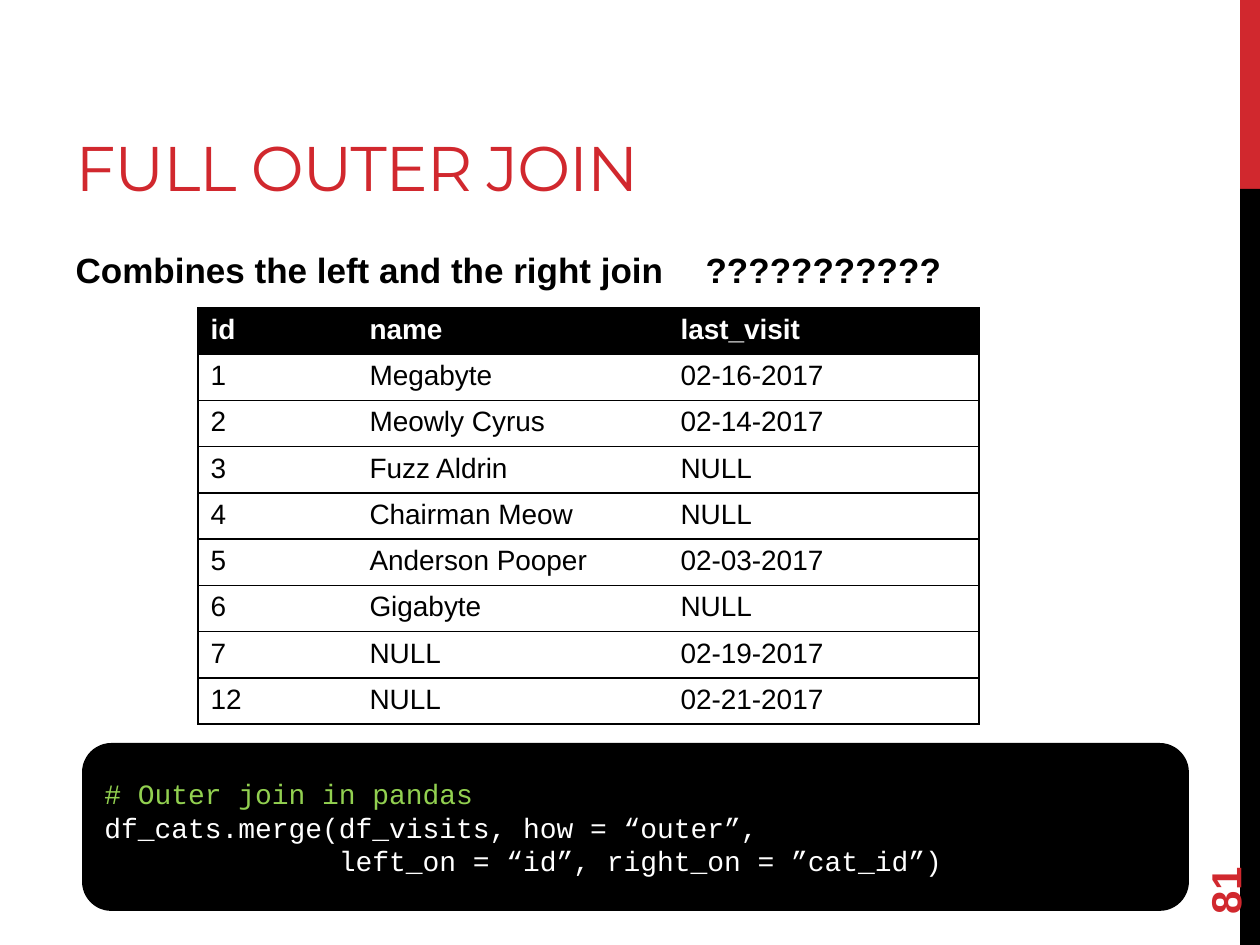
import pptx
import pptx.dml.color
import pptx.enum.shapes
import pptx.enum.text
import pptx.oxml
import pptx.oxml.ns
import pptx.util

SCALE = 914400 / 126
RED, BLACK, WHITE, GREEN = "D1282E", "000000", "FFFFFF", "92D050"
ANCHOR = pptx.enum.text.MSO_ANCHOR
LEFT = pptx.enum.text.PP_ALIGN.LEFT
NS = pptx.oxml.ns.nsdecls("a")

VISITS = [
    ("id", "name", "last_visit"),
    ("1", "Megabyte", "02-16-2017"),
    ("2", "Meowly Cyrus", "02-14-2017"),
    ("3", "Fuzz Aldrin", "NULL"),
    ("4", "Chairman Meow", "NULL"),
    ("5", "Anderson Pooper", "02-03-2017"),
    ("6", "Gigabyte", "NULL"),
    ("7", "NULL", "02-19-2017"),
    ("12", "NULL", "02-21-2017"),
]
CODE = [
    ("# Outer join in pandas", GREEN),
    ("df_cats.merge(df_visits, how = “outer”,", WHITE),
    ("              left_on = “id”, right_on = ”cat_id”)", WHITE),
]


def px(n):
    return pptx.util.Emu(round(n * SCALE))


def rgb(code):
    return pptx.dml.color.RGBColor.from_string(code)


def paint(item, code):
    item.fill.solid()
    item.fill.fore_color.rgb = rgb(code)


def write(par, text, size=16, color=BLACK, bold=False, face="Arial", track=0):
    """Add a run; track is letter spacing in hundredths of a point."""
    run = par.add_run()
    run.text = text
    font = run.font
    font.size = pptx.util.Pt(size)
    font.name = face
    font.bold = bold
    font.color.rgb = rgb(color)
    if track:
        run._r.get_or_add_rPr().set("spc", str(track))
    par.alignment = LEFT
    par.space_before = pptx.util.Pt(0)


def edge(cell, sides):
    """Rule the named sides (L, R, T, B) and clear the others."""
    props = cell._tc.get_or_add_tcPr()
    for spot, side in enumerate("LRTB"):
        fill = f'<a:solidFill><a:srgbClr val="{BLACK}"/></a:solidFill>'
        if side not in sides:
            fill = "<a:noFill/>"
        line = pptx.oxml.parse_xml(f'<a:ln{side} {NS} w="12700">{fill}</a:ln{side}>')
        props.insert(spot, line)


class Deck:
    """Holds the file, its style and the current slide."""

    head = dict(size=36, color=RED, face="Montserrat", track=-60)
    lead = dict(size=20, bold=True)
    mark = dict(size=24, color=RED, bold=True)

    def __init__(self):
        self.file = pptx.Presentation()
        self.file.slide_width = px(1260)
        self.file.slide_height = px(945)
        self.slide = self.file.slides.add_slide(self.file.slide_layouts[1])
        self.shapes = self.slide.shapes

    def holder(self, index, box, anchor):
        """Move a placeholder and return its first paragraph."""
        shape = self.slide.placeholders[index]
        shape.left, shape.top, shape.width, shape.height = map(px, box)
        frame = shape.text_frame
        frame.auto_size = pptx.enum.text.MSO_AUTO_SIZE.NONE
        frame.vertical_anchor = anchor
        return frame.paragraphs[0]

    def title(self, text, box):
        write(self.holder(0, box, ANCHOR.BOTTOM), text, **self.head)

    def body(self, text, box, stop):
        """Write an unbulleted line with one tab stop."""
        par = self.holder(1, box, ANCHOR.TOP)
        props = par._p.get_or_add_pPr()
        props.set("marL", "0")
        props.set("indent", "0")
        props.append(pptx.oxml.parse_xml(f"<a:buNone {NS}/>"))
        props.append(pptx.oxml.parse_xml(
            f'<a:tabLst {NS}><a:tab pos="{px(stop)}" algn="l"/></a:tabLst>'))
        write(par, text, **self.lead)

    def block(self, box, color, kind="RECTANGLE"):
        form = getattr(pptx.enum.shapes.MSO_SHAPE, kind)
        shape = self.shapes.add_shape(form, *map(px, box))
        shape.shadow.inherit = False
        paint(shape, color)
        shape.line.fill.background()
        return shape

    def number(self, text, box):
        shape = self.shapes.add_textbox(*map(px, box))
        shape.rotation = 270
        frame = shape.text_frame
        frame.word_wrap = True
        frame.vertical_anchor = ANCHOR.MIDDLE
        write(frame.paragraphs[0], text, **self.mark)

    def table(self, rows, left, top, widths, height):
        grid = self.shapes.add_table(
            len(rows), len(widths), px(left), px(top),
            px(sum(widths)), px(height)).table
        grid.horz_banding = False
        for col, width in zip(grid.columns, widths):
            col.width = px(width)
        for r, row in enumerate(rows):
            grid.rows[r].height = px(height / len(rows))
            for c, text in enumerate(row):
                cell = grid.cell(r, c)
                paint(cell, WHITE if r else BLACK)
                ends = {0: "L", len(widths) - 1: "R"}
                edge(cell, "TB" + ends.get(c, ""))
                write(cell.text_frame.paragraphs[0], text,
                      color=BLACK if r else WHITE, bold=r == 0)

    def code(self, lines, box):
        shape = self.block(box, BLACK, "ROUNDED_RECTANGLE")
        shape.line.color.rgb = rgb(BLACK)
        shape.line.width = pptx.util.Pt(2.25)
        frame = shape.text_frame
        frame.vertical_anchor = ANCHOR.MIDDLE
        for i, (text, color) in enumerate(lines):
            par = frame.add_paragraph() if i else frame.paragraphs[0]
            write(par, text, color=color, face="Courier New")


def main():
    deck = Deck()
    deck.block((1240, 0, 20, 189), RED)
    deck.block((1240, 189, 20, 756), BLACK)
    deck.title("FULL OUTER JOIN", (63, 21, 798, 189))
    deck.body("Combines the left and the right join\t???????????",
              (63, 242, 1050, 67), stop=684)
    deck.number("81", (1134, 811, 181, 50))
    deck.table(VISITS, 198, 308, (159, 311, 311), 416)
    deck.code(CODE, (84, 745, 1103, 164))
    deck.file.save("out.pptx")


if __name__ == "__main__":
    main()
